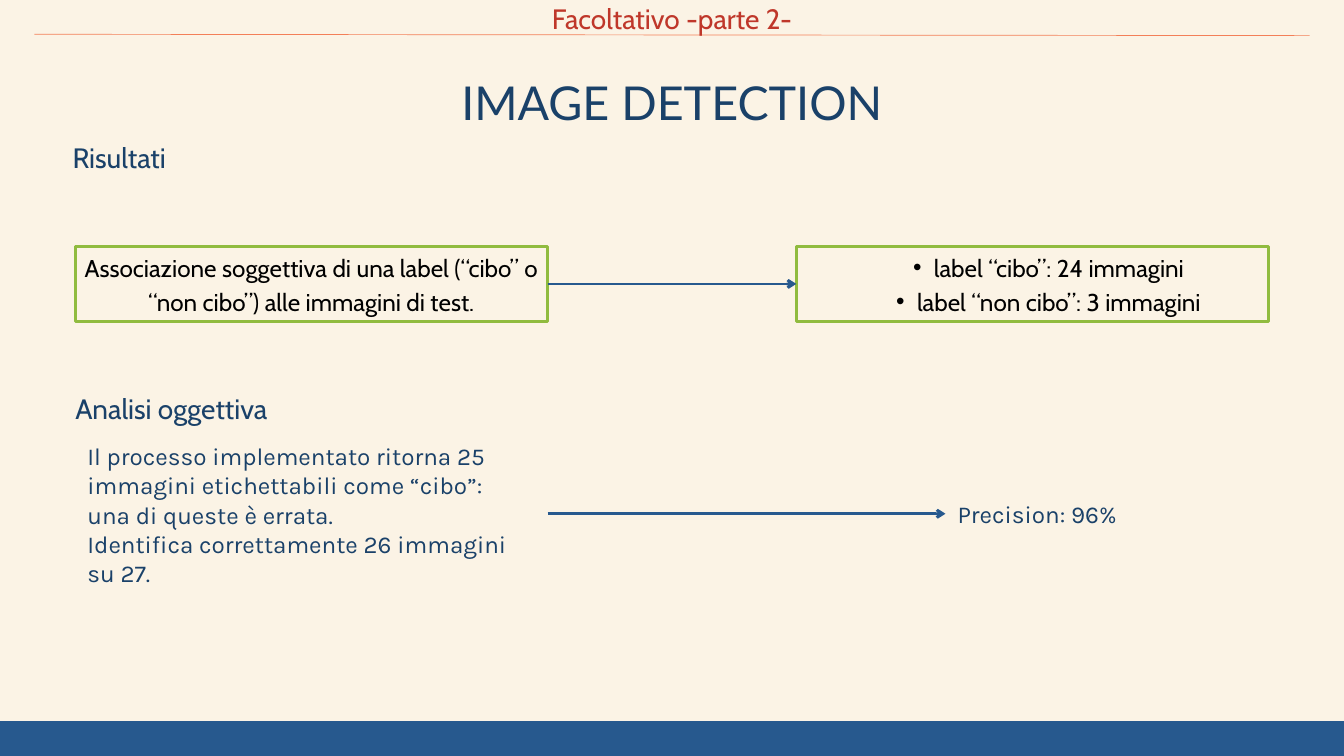
from dataclasses import dataclass
from lxml.etree import SubElement
from pptx import Presentation
from pptx.dml.color import RGBColor
from pptx.enum.shapes import MSO_CONNECTOR as Connector, MSO_SHAPE as Shape
from pptx.enum.text import MSO_ANCHOR as Anchor, MSO_AUTO_SIZE as AutoSize, PP_ALIGN as Align
from pptx.oxml.ns import qn
from pptx.util import Inches, Pt


@dataclass(frozen=True)
class Style:
    font: str
    size: float
    color: str
    leading: float
    align: Align


class Theme:
    paper, blue, green, coral = "FBF3E5", "27598E", "90BB3F", "F37F58"
    navy, red, black = "1A4169", "BF372A", "000000"
    title = Style("Lato", 50, navy, 60, Align.CENTER)
    banner = Style("Cabin", 30, red, 42, Align.CENTER)
    heading = Style("Cabin", 30, navy, 42, Align.JUSTIFY)
    boxed = Style("Cabin", 26, black, 36.4, Align.CENTER)
    body = Style("Karla", 26, navy, 31.2, Align.LEFT)
    thin, thick = 0.75, 3


TITLE = ["IMAGE DETECTION"]
BANNER = ["Facoltativo -parte 2-"]
RESULTS = ["Risultati"]
ASSOCIATION = ["Associazione soggettiva di una label (“cibo” o “non cibo”) alle immagini di test."]
LABELS = ["label “cibo”: 24 immagini", "label “non cibo”: 3 immagini"]
ANALYSIS = ["Analisi oggettiva"]
FINDINGS = [
    "Il processo implementato ritorna 25 immagini etichettabili come “cibo”:",
    "una di queste è errata.",
    "Identifica correttamente 26 immagini",
    "su 27.",
]
PRECISION = ["Precision: 96%"]

WIDTH, HEIGHT = 20, 11.25
MARGIN, COLUMN = 1.12, 7.03
LEFT_END = MARGIN + COLUMN
RIGHT = WIDTH - LEFT_END
BOX_TOP, BOX_HEIGHT = 3.67, 1.11
BOX_MIDDLE = BOX_TOP + BOX_HEIGHT / 2
FINDINGS_TOP, FINDINGS_HEIGHT = 6.57, 2.15
FINDINGS_MIDDLE = FINDINGS_TOP + FINDINGS_HEIGHT / 2
PRECISION_LEFT, PRECISION_HEIGHT = 14.07, 0.44
FOOTER = 0.52


def rgb(color):
    return RGBColor.from_string(color)


def centred(width):
    return (WIDTH - width) / 2


def place(shape, left, top, width, height):
    shape.left, shape.top = Inches(left), Inches(top)
    shape.width, shape.height = Inches(width), Inches(height)


def write(shape, area, lines, style, bullets=False):
    place(shape, *area)
    frame = shape.text_frame
    frame.text = "\n".join(lines)
    frame.word_wrap = True
    frame.auto_size = AutoSize.NONE
    frame.vertical_anchor = Anchor.TOP
    frame.margin_left = frame.margin_right = frame.margin_top = frame.margin_bottom = 0
    for paragraph in frame.paragraphs:
        paragraph.alignment = style.align
        paragraph.line_spacing = Pt(style.leading)
        paragraph.space_before = Pt(0)
        if bullets:
            properties = paragraph._p.get_or_add_pPr()
            properties.set("marL", str(Inches(0.61)))
            properties.set("indent", str(Inches(-0.31)))
            SubElement(properties, qn("a:buFont"), typeface="Arial")
            SubElement(properties, qn("a:buChar"), char="•")
        for run in paragraph.runs:
            run.font.name = style.font
            run.font.size = Pt(style.size)
            run.font.color.rgb = rgb(style.color)


def add_text(slide, area, lines, style):
    write(slide.shapes.add_textbox(0, 0, 0, 0), area, lines, style)


def add_rectangle(slide, area, fill=None, outline=None):
    rectangle = slide.shapes.add_shape(Shape.RECTANGLE, 0, 0, 0, 0)
    place(rectangle, *area)
    rectangle.shadow.inherit = False
    if fill:
        rectangle.fill.solid()
        rectangle.fill.fore_color.rgb = rgb(fill)
    else:
        rectangle.fill.background()
    if outline:
        rectangle.line.color.rgb = rgb(outline)
        rectangle.line.width = Pt(Theme.thick)
    else:
        rectangle.line.fill.background()


def add_line(slide, start, end, color, weight, arrow=False):
    line = slide.shapes.add_connector(Connector.STRAIGHT, *map(Inches, start + end))
    line.line.color.rgb = rgb(color)
    line.line.width = Pt(weight)
    if arrow:
        SubElement(line.line._get_or_add_ln(), qn("a:tailEnd"), type="arrow")
    SubElement(line._element.spPr, qn("a:effectLst"))


def main():
    deck = Presentation()
    deck.slide_width, deck.slide_height = Inches(WIDTH), Inches(HEIGHT)
    slide = deck.slides.add_slide(deck.slide_layouts[1])
    slide.background.fill.solid()
    slide.background.fill.fore_color.rgb = rgb(Theme.paper)
    title, labels = slide.placeholders

    add_line(slide, (0.51, 0.51), (19.49, 0.53), Theme.coral, Theme.thin)
    add_rectangle(slide, (0, HEIGHT - FOOTER, WIDTH, FOOTER), fill=Theme.blue)
    for left in (MARGIN, RIGHT):
        add_rectangle(slide, (left, BOX_TOP, COLUMN, BOX_HEIGHT), outline=Theme.green)

    write(title, (centred(12.23), 1.1, 12.23, 0.85), TITLE, Theme.title)
    write(labels, (12.03, 3.69, 6.85, 0.99), LABELS, Theme.boxed, bullets=True)

    precision_top = FINDINGS_MIDDLE - PRECISION_HEIGHT / 2
    for area, lines, style in (
        ((centred(4.05), -0.06, 4.05, 0.56), BANNER, Theme.banner),
        ((1.08, 2.01, 2.81, 0.56), RESULTS, Theme.heading),
        ((MARGIN, 3.69, COLUMN, 0.99), ASSOCIATION, Theme.boxed),
        ((MARGIN, 5.74, 3.82, 0.56), ANALYSIS, Theme.heading),
        ((1.3, FINDINGS_TOP, 6.85, FINDINGS_HEIGHT), FINDINGS, Theme.body),
        ((PRECISION_LEFT + 0.18, precision_top, 2.7, PRECISION_HEIGHT), PRECISION, Theme.body),
    ):
        add_text(slide, area, lines, style)

    for end, middle in ((RIGHT, BOX_MIDDLE), (PRECISION_LEFT, FINDINGS_MIDDLE)):
        add_line(slide, (LEFT_END, middle), (end, middle), Theme.blue, Theme.thick, arrow=True)

    deck.save("out.pptx")


if __name__ == "__main__":
    main()
